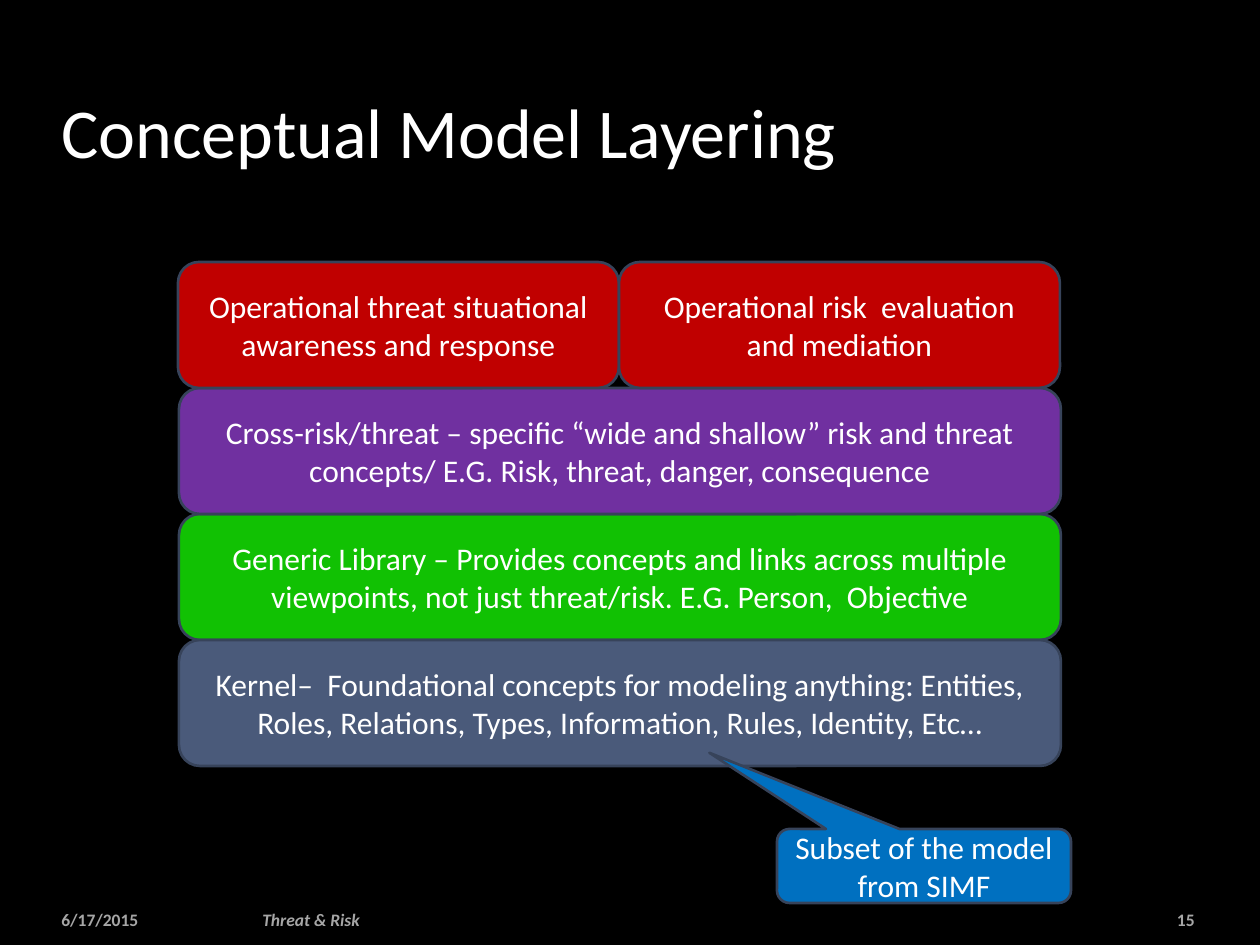
from dataclasses import dataclass

import pptx
import pptx.dml.color
import pptx.enum.shapes
import pptx.enum.text
import pptx.util

PIXELS_PER_INCH = 126
FONT = "Calibri"
WHITE = "FFFFFF"
FOOTER_GREY = "A6A6A6"
OUTLINE = "37435A"
RED = "C00000"
LAYER_LEFT, LAYER_TOP, LAYER_WIDTH, LAYER_HEIGHT = 179, 262, 882, 126
HALF_WIDTH = LAYER_WIDTH // 2

Shapes = pptx.enum.shapes.MSO_SHAPE
Align = pptx.enum.text.PP_ALIGN
Anchor = pptx.enum.text.MSO_ANCHOR


@dataclass
class Layer:
    text: str
    fill: str
    row: int
    left: int = LAYER_LEFT
    width: int = LAYER_WIDTH


@dataclass
class Footer:
    text: str
    left: int
    width: int
    align: Align = Align.LEFT
    italic: bool = False


LAYERS = [
    Layer("Generic Library – Provides concepts and links across multiple viewpoints, "
          "not just threat/risk. E.G. Person,  Objective", "11C103", 2),
    Layer("Kernel–  Foundational concepts for modeling anything: Entities, Roles, "
          "Relations, Types, Information, Rules, Identity, Etc…", "4A5A7A", 3),
    Layer("Cross-risk/threat – specific “wide and shallow” risk and threat concepts/ "
          "E.G. Risk, threat, danger, consequence", "7030A0", 1),
    Layer("Operational threat situational awareness and response", RED, 0,
          LAYER_LEFT - 1, HALF_WIDTH),
    Layer("Operational risk  evaluation and mediation", RED, 0,
          LAYER_LEFT - 1 + HALF_WIDTH, HALF_WIDTH),
]

FOOTERS = [
    Footer("6/17/2015", 49, 202),
    Footer("15", 1086, 121, Align.RIGHT),
    Footer("Threat & Risk", 250, 563, italic=True),
]


def px(length: int) -> pptx.util.Emu:
    return pptx.util.Emu(round(length * 914400 / PIXELS_PER_INCH))


def color(value: str) -> pptx.dml.color.RGBColor:
    return pptx.dml.color.RGBColor.from_string(value)


def write(shape, text: str, size: int, align: Align, anchor: Anchor = Anchor.MIDDLE,
          fill: str = WHITE, bold: bool = False, italic: bool = False) -> None:
    frame = shape.text_frame
    frame.text = text
    frame.word_wrap = True
    frame.auto_size = pptx.enum.text.MSO_AUTO_SIZE.NONE
    frame.vertical_anchor = anchor
    paragraph = frame.paragraphs[0]
    paragraph.alignment = align
    font = paragraph.runs[0].font
    font.name = FONT
    font.size = pptx.util.Pt(size)
    font.bold = bold
    font.italic = italic
    font.color.rgb = color(fill)


def add_box(slide, kind: Shapes, left: int, top: int, width: int, height: int,
            fill: str, text: str):
    shape = slide.shapes.add_shape(kind, px(left), px(top), px(width), px(height))
    shape.shadow.inherit = False
    shape.fill.solid()
    shape.fill.fore_color.rgb = color(fill)
    shape.line.color.rgb = color(OUTLINE)
    shape.line.width = pptx.util.Pt(1.5)
    write(shape, text, 18, Align.CENTER)
    return shape


def add_title(slide, text: str) -> None:
    title = slide.shapes.title
    title.left, title.top, title.width, title.height = px(49), px(32), px(1058), px(147)
    write(title, text, 40, Align.LEFT, Anchor.BOTTOM)
    title.text_frame.paragraphs[0].space_before = pptx.util.Pt(4)


def add_layer(slide, layer: Layer) -> None:
    top = LAYER_TOP + layer.row * LAYER_HEIGHT
    add_box(slide, Shapes.ROUNDED_RECTANGLE, layer.left, top, layer.width,
            LAYER_HEIGHT, layer.fill, layer.text)


def add_callout(slide, text: str) -> None:
    callout = add_box(slide, Shapes.ROUNDED_RECTANGULAR_CALLOUT, 777, 829, 294, 74,
                      "0070C0", text)
    for index, value in enumerate((-0.73, -1.53, 0.17)):
        callout.adjustments[index] = value


def add_footer(slide, footer: Footer) -> None:
    box = slide.shapes.add_textbox(px(footer.left), px(902), px(footer.width), px(34))
    write(box, footer.text, 10, footer.align, fill=FOOTER_GREY, bold=True,
          italic=footer.italic)


def main() -> None:
    presentation = pptx.Presentation()
    presentation.slide_width = px(1260)
    presentation.slide_height = px(945)
    slide = presentation.slides.add_slide(presentation.slide_layouts[5])
    slide.background.fill.solid()
    slide.background.fill.fore_color.rgb = color("000000")
    for footer in FOOTERS:
        add_footer(slide, footer)
    add_title(slide, "Conceptual Model Layering")
    for layer in LAYERS:
        add_layer(slide, layer)
    add_callout(slide, "Subset of the model from SIMF")
    presentation.save("out.pptx")


if __name__ == "__main__":
    main()
